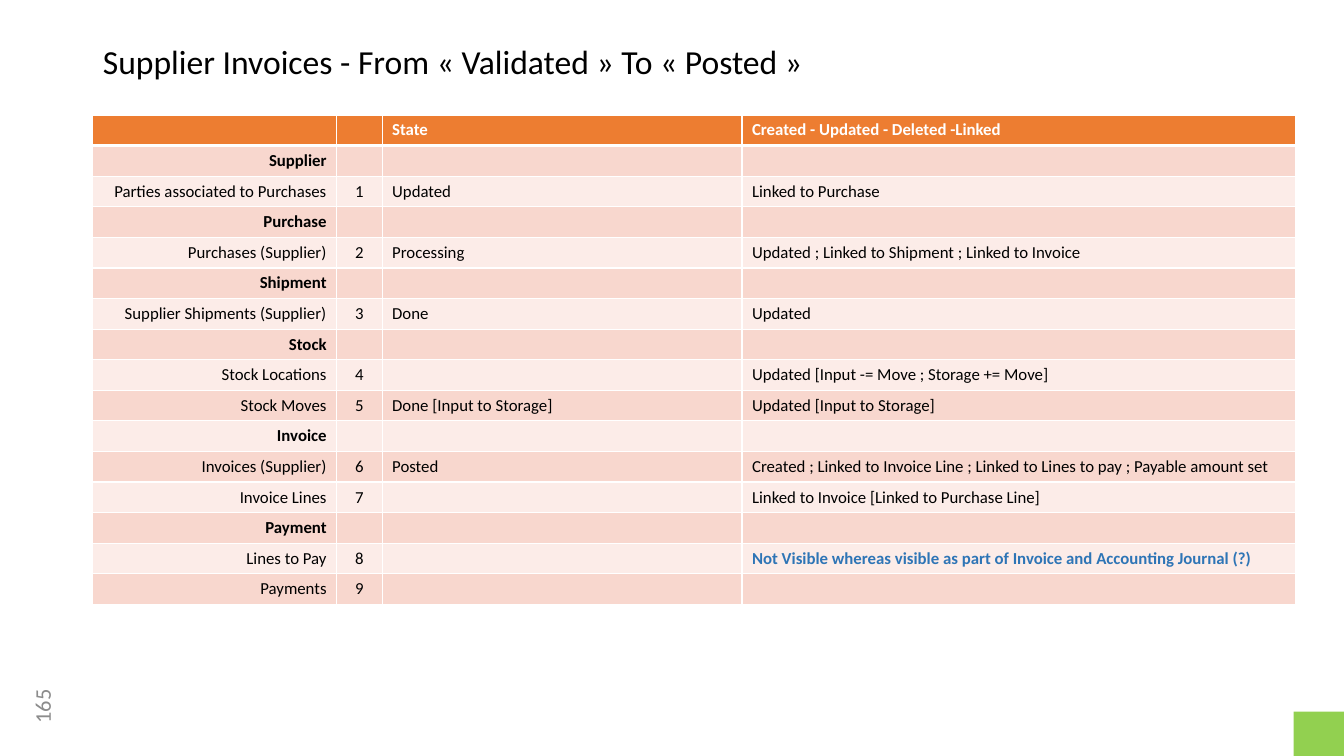
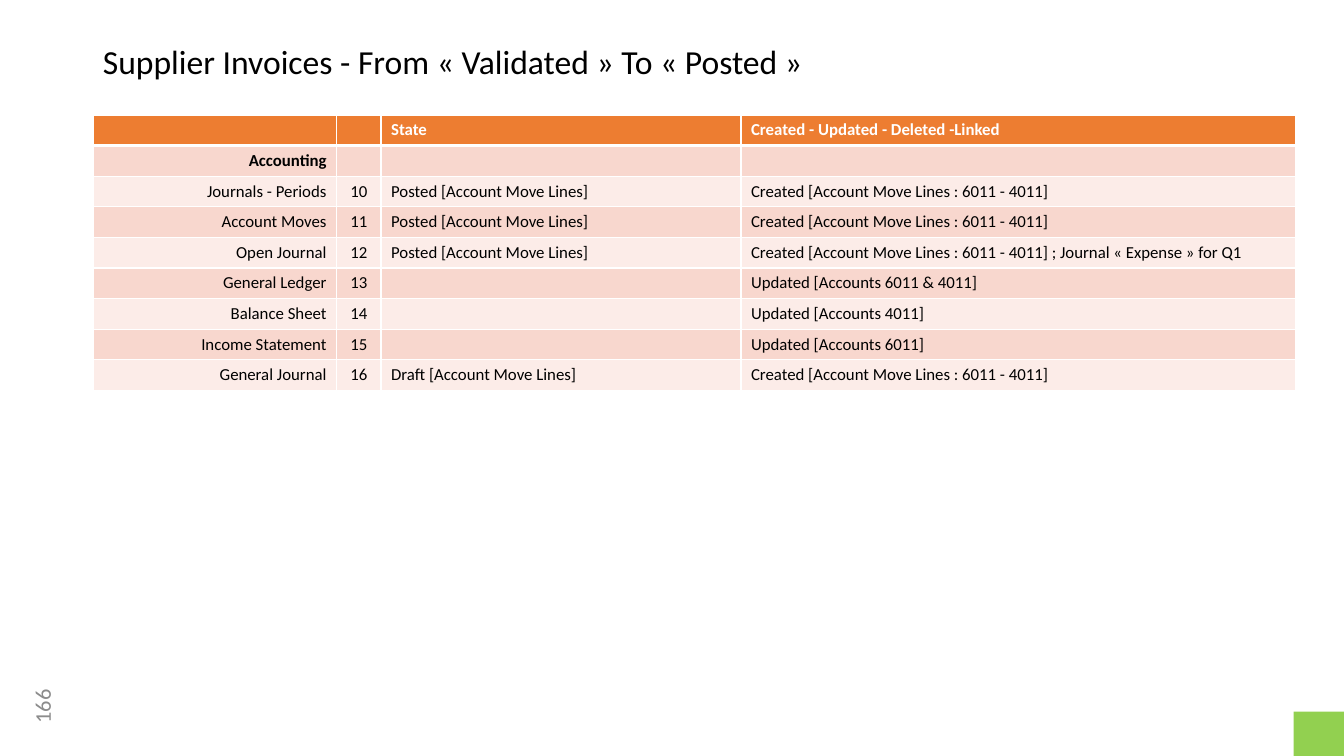
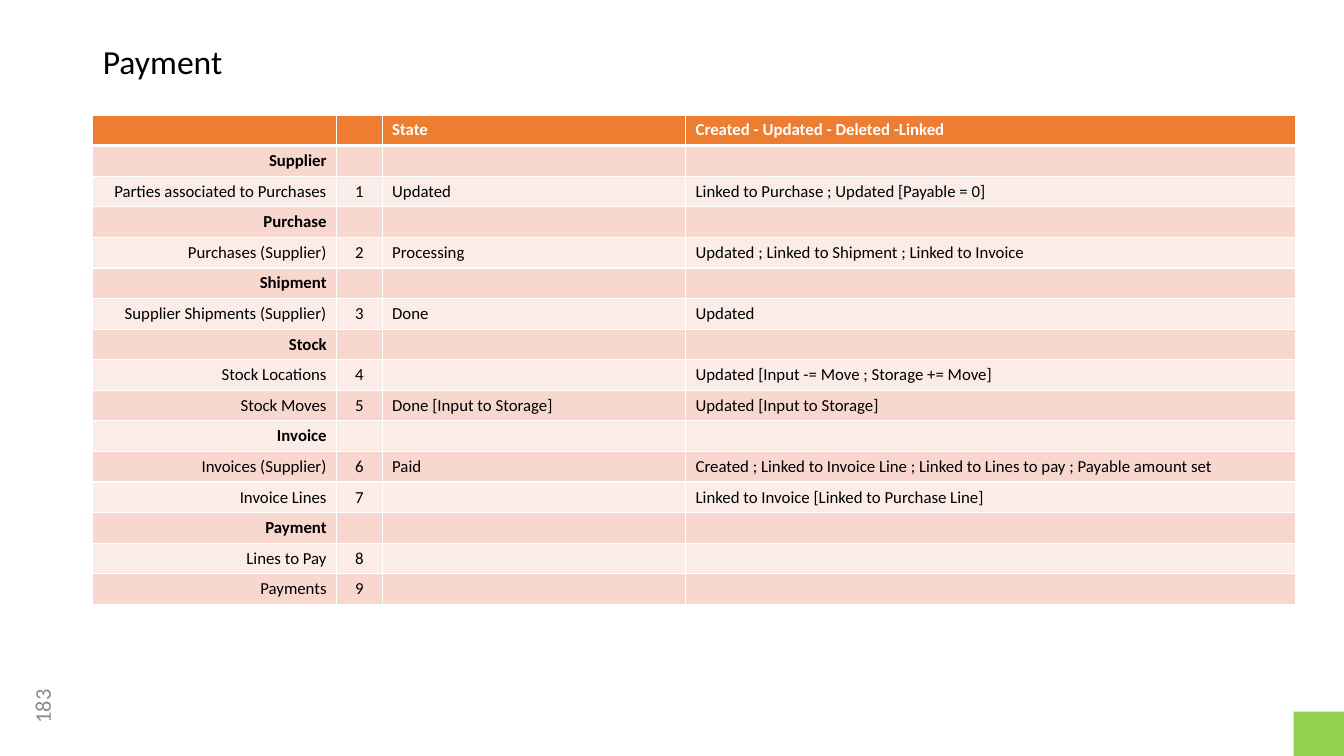
import pptx
import pptx.chart.data
import pptx.dml.color
import pptx.enum.shapes
import pptx.enum.text
import pptx.oxml
import pptx.oxml.ns
import pptx.util
from lxml import etree

Inches = pptx.util.Inches
Pt = pptx.util.Pt
Align = pptx.enum.text.PP_ALIGN
Anchor = pptx.enum.text.MSO_ANCHOR
qn = pptx.oxml.ns.qn

FONT = "Calibri"
COLORS = {
    "text": "000000",
    "white": "FFFFFF",
    "header": "ED7D31",
    "band_dark": "F8D7CE",
    "band_light": "FCECE8",
    "question": "2E75B6",
    "page_number": "8C8C8C",
    "corner": "92D050",
}
HEADER = ("", "", "State", "Created - Updated - Deleted -Linked")
ALIGNMENTS = (Align.RIGHT, Align.CENTER, Align.LEFT, Align.LEFT)
TABLE_TOP = 1.14
ROW_HEIGHT = 0.3
QUESTION = "Not Visible whereas visible as part of Invoice and Accounting Journal (?)"
POSTING_TITLE = "Supplier Invoices - From « Validated » To « Posted »"
POSTED_LINES = "Posted [Account Move Lines]"
CREATED_LINES = "Created [Account Move Lines : 6011 - 4011]"

ACCOUNTING_ROWS = (
    ("Accounting",),
    ("Journals - Periods", POSTED_LINES, CREATED_LINES),
    ("Account Moves", POSTED_LINES, CREATED_LINES),
    ("Open Journal", POSTED_LINES, CREATED_LINES + " ; Journal « Expense » for Q1"),
    ("General Ledger", "", "Updated [Accounts 6011 & 4011]"),
    ("Balance Sheet", "", "Updated [Accounts 4011]"),
    ("Income Statement", "", "Updated [Accounts 6011]"),
    ("General Journal", "Draft [Account Move Lines]", CREATED_LINES),
)


def purchase_rows(party_change, invoice_state, lines_to_pay):
    return (
        ("Supplier",),
        ("Parties associated to Purchases", "Updated", party_change),
        ("Purchase",),
        ("Purchases (Supplier)", "Processing", "Updated ; Linked to Shipment ; Linked to Invoice"),
        ("Shipment",),
        ("Supplier Shipments (Supplier)", "Done", "Updated"),
        ("Stock",),
        ("Stock Locations", "", "Updated [Input -= Move ; Storage += Move]"),
        ("Stock Moves", "Done [Input to Storage]", "Updated [Input to Storage]"),
        ("Invoice",),
        ("Invoices (Supplier)", invoice_state,
         "Created ; Linked to Invoice Line ; Linked to Lines to pay ; Payable amount set"),
        ("Invoice Lines", "", "Linked to Invoice [Linked to Purchase Line]"),
        ("Payment",),
        ("Lines to Pay", "", lines_to_pay),
        ("Payments", "", ""),
    )


def rgb(name):
    return pptx.dml.color.RGBColor.from_string(COLORS[name])


def style_paragraph(paragraph, size, color, bold=False, alignment=Align.LEFT):
    paragraph.alignment = alignment
    paragraph.font.name = FONT
    paragraph.font.size = Pt(size)
    paragraph.font.bold = bold
    paragraph.font.color.rgb = rgb(color)


def add_title(slide, text):
    title = slide.shapes.title
    title.left, title.top = Inches(0.92), Inches(0.4)
    title.width, title.height = Inches(11.5), Inches(0.51)
    frame = title.text_frame
    frame.text = text
    frame.word_wrap = True
    frame.auto_size = pptx.enum.text.MSO_AUTO_SIZE.NONE
    frame.vertical_anchor = Anchor.TOP
    paragraph = frame.paragraphs[0]
    paragraph.line_spacing = 0.9
    style_paragraph(paragraph, 24, "text")


def add_page_number(slide, number):
    box = slide.shapes.add_textbox(Inches(0.04), Inches(6.81), Inches(0.75), Inches(0.4))
    box.rotation = 270
    frame = box.text_frame
    frame.word_wrap = True
    frame.vertical_anchor = Anchor.MIDDLE
    frame.text = str(number)
    style_paragraph(frame.paragraphs[0], 16, "page_number", alignment=Align.CENTER)


def add_corner(slide):
    corner = slide.shapes.add_shape(
        pptx.enum.shapes.MSO_SHAPE.RECTANGLE,
        Inches(12.83), Inches(7.06), Inches(0.51), Inches(0.44))
    corner.shadow.inherit = False
    corner.fill.solid()
    corner.fill.fore_color.rgb = rgb("corner")
    corner.line.fill.background()


def set_borders(cell, top, bottom):
    properties = cell._tc.get_or_add_tcPr()
    for side, width in (("L", 1), ("R", 1), ("T", top), ("B", bottom)):
        line = etree.SubElement(properties, qn("a:ln" + side), w=str(Pt(width)))
        fill = etree.SubElement(line, qn("a:solidFill"))
        etree.SubElement(fill, qn("a:srgbClr"), val=COLORS["white"])


def fill_cell(cell, text, fill, color, bold, alignment):
    cell.fill.solid()
    cell.fill.fore_color.rgb = rgb(fill)
    cell.text = text
    paragraph = cell.text_frame.paragraphs[0]
    style_paragraph(paragraph, 12, color, bold, alignment)
    if not text:
        etree.SubElement(paragraph._p, qn("a:endParaRPr"), sz=str(Pt(12).centipoints))


def numbered(rows, first_number):
    number = first_number
    for row in rows:
        if len(row) == 1:
            yield row + ("", "", "")
        else:
            yield row[:1] + (str(number),) + row[1:]
            number += 1


def add_status_table(slide, left, widths, rows, first_number):
    lines = [HEADER, *numbered(rows, first_number)]
    table = slide.shapes.add_table(
        len(lines), len(widths), Inches(left), Inches(TABLE_TOP),
        Inches(sum(widths)), Inches(ROW_HEIGHT * len(lines))).table
    for column, width in zip(table.columns, widths):
        column.width = Inches(width)
    for row_index, line in enumerate(lines):
        table.rows[row_index].height = Inches(ROW_HEIGHT)
        is_header = row_index == 0
        is_section = not line[1]
        band = "band_dark" if row_index % 2 else "band_light"
        for column_index, text in enumerate(line):
            cell = table.cell(row_index, column_index)
            set_borders(cell, 3 if row_index == 1 else 1, 3 if is_header else 1)
            if is_header:
                fill_cell(cell, text, "header", "white", True, Align.LEFT)
            else:
                is_question = text == QUESTION
                fill_cell(cell, text, band, "question" if is_question else "text",
                          is_section or is_question, ALIGNMENTS[column_index])


def add_status_slide(presentation, title, page, left, widths, rows, first_number=1):
    slide = presentation.slides.add_slide(presentation.slide_layouts[5])
    add_title(slide, title)
    add_status_table(slide, left, widths, rows, first_number)
    add_page_number(slide, page)
    add_corner(slide)


def main():
    presentation = pptx.Presentation()
    presentation.slide_width = Inches(13.33)
    presentation.slide_height = Inches(7.5)
    add_status_slide(presentation, POSTING_TITLE, 165, 0.92, (2.42, 0.45, 3.57, 5.49),
                     purchase_rows("Linked to Purchase", "Posted", QUESTION))
    add_status_slide(presentation, POSTING_TITLE, 166, 0.93, (2.41, 0.44, 3.57, 5.5),
                     ACCOUNTING_ROWS, first_number=10)
    add_status_slide(presentation, "Payment", 183, 0.92, (2.42, 0.45, 3.01, 6.05),
                     purchase_rows("Linked to Purchase ; Updated [Payable = 0]", "Paid", ""))
    presentation.save("out.pptx")


if __name__ == "__main__":
    main()
